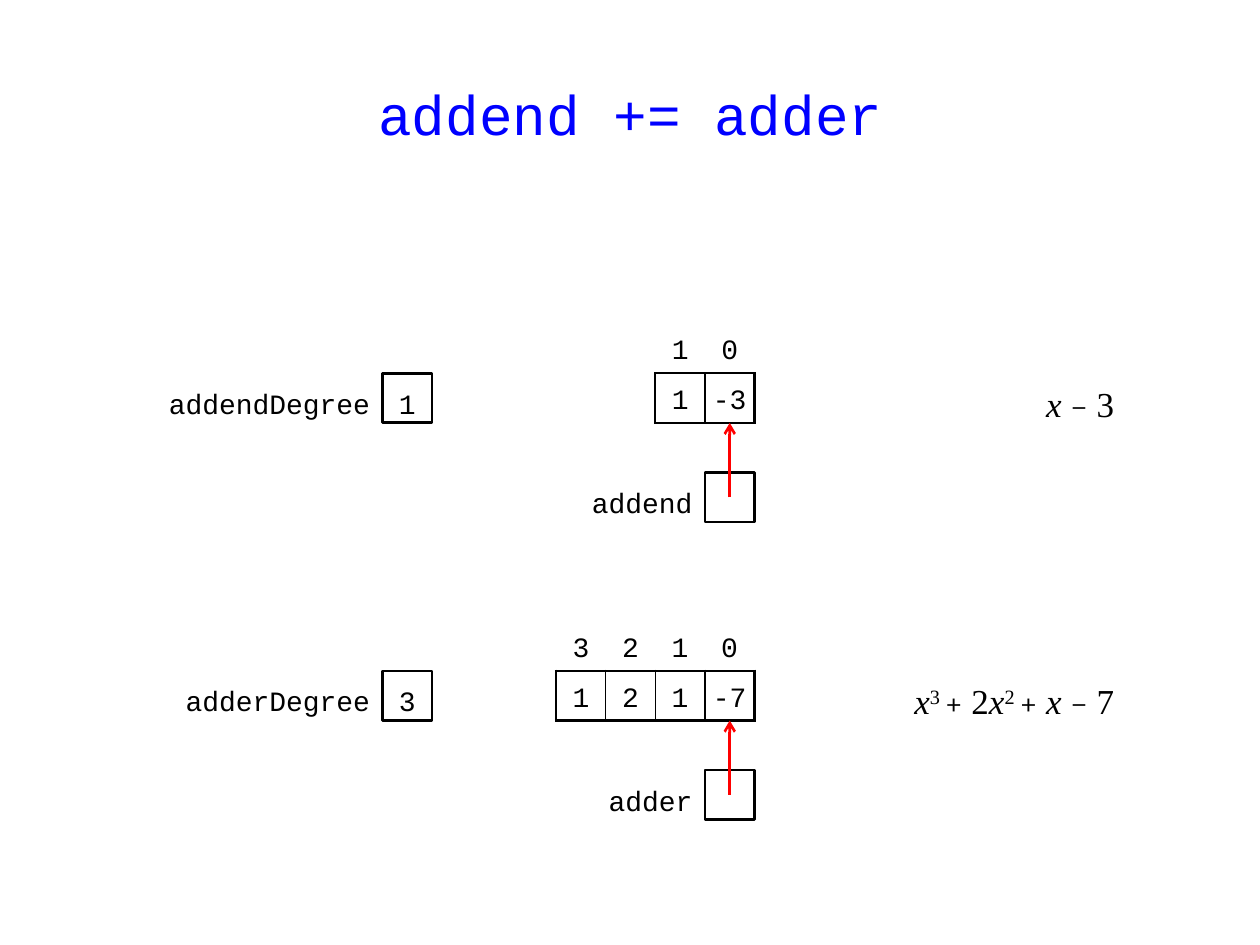
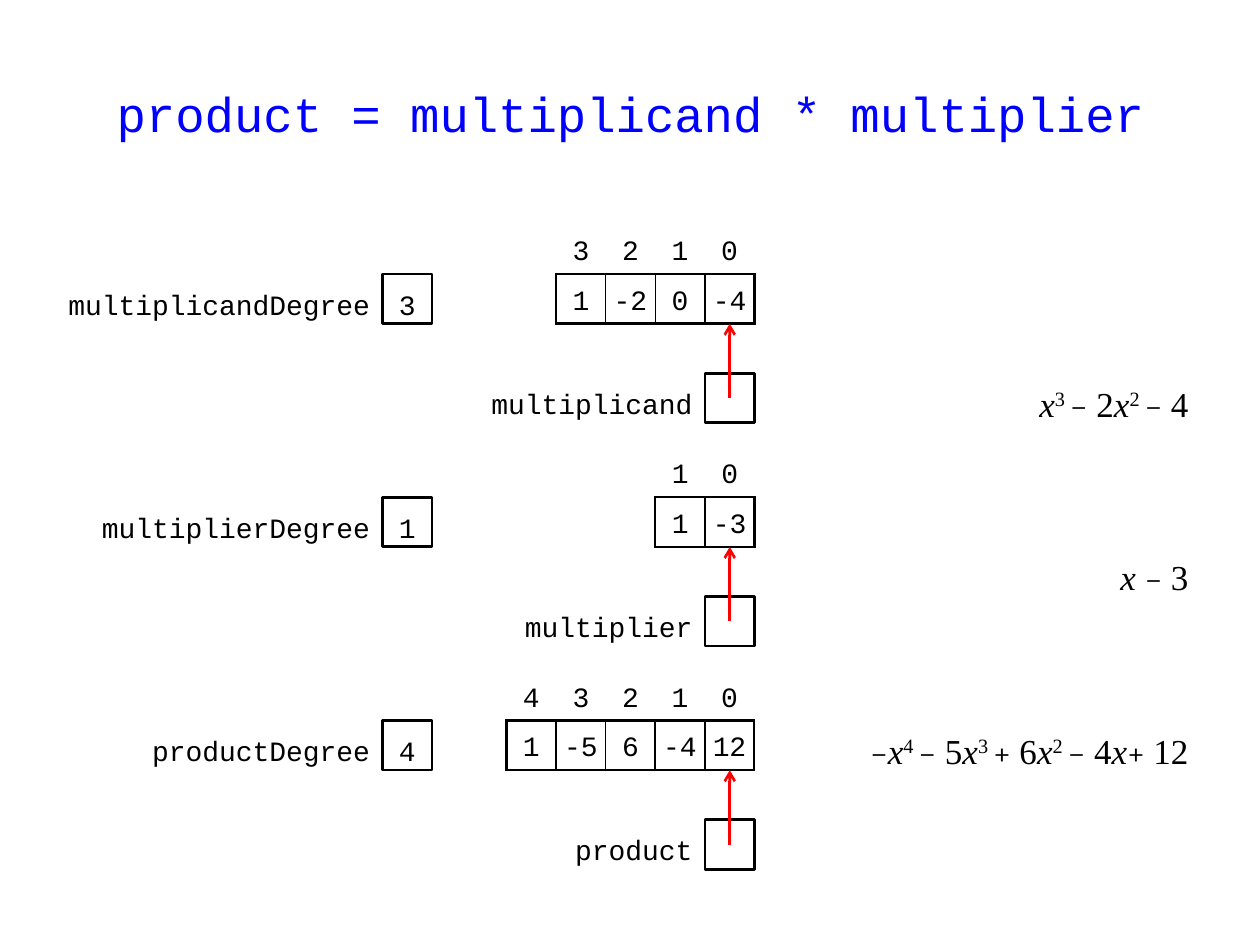
import math
from itertools import groupby
from lxml import etree
from pptx import Presentation
from pptx import util as u
from pptx.dml import color
from pptx.enum import shapes, text
from pptx.oxml import ns

SLIDES = [
    {
        "title": "addend += adder",
        "title_size": "title",
        "formula_right": 22,
        "polynomials": [
            {"name": "addend", "coefficients": [1, -3], "row": 7.5,
             "formula": "x − 3", "formula_row": 7.5, "formula_cells": 2.5},
            {"name": "adder", "coefficients": [1, 2, 1, -7], "row": 13.5,
             "formula": "x^3 + 2x^2 + x − 7", "formula_row": 13.5, "formula_cells": 5.5},
        ],
    },
    {
        "title": "product = multiplicand * multiplier",
        "title_size": "long_title",
        "formula_right": 23.5,
        "polynomials": [
            {"name": "multiplicand", "coefficients": [1, -2, 0, -4], "row": 5.5,
             "formula": "x^3 − 2x^2 − 4", "formula_row": 7.5, "formula_cells": 4},
            {"name": "multiplier", "coefficients": [1, -3], "row": 10,
             "formula": "x − 3", "formula_row": 11, "formula_cells": 2.5},
            {"name": "product", "coefficients": [1, -5, 6, -4, 12], "row": 14.5,
             "formula": "−x^4 − 5x^3 + 6x^2 − 4x+ 12", "formula_row": 14.5,
             "formula_cells": 8},
        ],
    },
]

THEME = {
    "colors": {"ink": "000000", "title": "0000FF", "arrow": "FF0000", "box": "FFFFFF"},
    "sizes": {"title": 32, "long_title": 28, "code": 16, "formula": 20, "operator": 18},
    "fonts": {"code": "Courier New", "formula": "Times New Roman", "operator": "Cambria"},
    "lines": {"outer": 1.5, "inner": 1},
}

CELL = 1 / 2.54
ORIGIN_X, ORIGIN_Y = 0.28, 0.01
DEGREE_COLUMN = 7
POINTER_COLUMN = 13.5
CODE_CHARACTER = 0.6 * THEME["sizes"]["code"] / 72
INSET = 0.1
POINTER_INSET = 0.04
TEXT_DROP = 0.08


def across(column):
    return u.Inches(ORIGIN_X + column * CELL)


def down(row):
    return u.Inches(ORIGIN_Y + row * CELL)


def cells(count):
    return u.Inches(count * CELL)


def place(column, row, width, height=1):
    return across(column), down(row), cells(width), cells(height)


def rgb(name):
    return color.RGBColor.from_string(THEME["colors"][name])


def set_all(target, values):
    for name, value in values.items():
        setattr(target, name, value)


def add_run(paragraph, words, font="code", size=None, ink="ink", **extra):
    run = paragraph.add_run()
    run.text = words
    set_all(run.font, {"name": THEME["fonts"][font],
                       "size": u.Pt(THEME["sizes"][size or font]), "bold": False, **extra})
    run.font.color.rgb = rgb(ink)
    return run


def prepare_text(shape, align, left=INSET, right=INSET, top=TEXT_DROP):
    frame = shape.text_frame
    set_all(frame, {"word_wrap": True, "auto_size": text.MSO_AUTO_SIZE.NONE,
                    "vertical_anchor": text.MSO_ANCHOR.MIDDLE,
                    "margin_left": u.Inches(left), "margin_right": u.Inches(right),
                    "margin_top": u.Inches(top), "margin_bottom": 0})
    paragraph = frame.paragraphs[0]
    paragraph.alignment = align
    return paragraph


def add_title(slide, words, size):
    title = slide.shapes.title
    left, top, width, height = place(0.5, 1, 23, 2.5)
    set_all(title, {"left": left, "top": top, "width": width, "height": height})
    paragraph = prepare_text(title, text.PP_ALIGN.CENTER, top=0)
    add_run(paragraph, words, size=size, ink="title")


def add_label(slide, words, right_column, row, left_inset=INSET):
    needed = len(words) * CODE_CHARACTER + left_inset + INSET
    width = math.ceil(2 * needed / CELL) / 2
    label = slide.shapes.add_textbox(*place(right_column - width, row, width))
    add_run(prepare_text(label, text.PP_ALIGN.RIGHT, left_inset), words)


def add_box(slide, column, row, words=""):
    box = slide.shapes.add_shape(shapes.MSO_SHAPE.RECTANGLE, *place(column, row, 1))
    box.shadow.inherit = False
    box.fill.solid()
    box.fill.fore_color.rgb = rgb("box")
    box.line.color.rgb = rgb("ink")
    box.line.width = u.Pt(THEME["lines"]["outer"])
    if words:
        add_run(prepare_text(box, text.PP_ALIGN.CENTER, 0, 0), words)


def set_borders(cell, borders):
    properties = cell._tc.get_or_add_tcPr()
    for position, (side, kind) in enumerate(borders.items()):
        line = etree.Element(ns.qn(f"a:ln{side}"))
        if kind:
            line.set("w", str(u.Pt(THEME["lines"][kind])))
            fill = etree.SubElement(line, ns.qn("a:solidFill"))
            etree.SubElement(fill, ns.qn("a:srgbClr"), val=THEME["colors"]["ink"])
        else:
            etree.SubElement(line, ns.qn("a:noFill"))
        properties.insert(position, line)


def add_array(slide, coefficients, row):
    count = len(coefficients)
    frame = slide.shapes.add_table(
        2, count, *place(POINTER_COLUMN + 1 - count, row - 1, count, 2))
    table = frame.table
    set_all(table, {"first_row": False, "horz_banding": False})
    for line in [*table.rows]:
        line.height = cells(1)
    for column in table.columns:
        column.width = cells(1)
    contents = [range(count - 1, -1, -1), coefficients]
    for row_index, values in enumerate(contents):
        for column_index, value in enumerate(values):
            cell = table.cell(row_index, column_index)
            set_all(cell, {"margin_left": 0, "margin_right": 0, "margin_top": 0,
                           "margin_bottom": 0, "vertical_anchor": text.MSO_ANCHOR.MIDDLE})
            cell.fill.background()
            paragraph = cell.text_frame.paragraphs[0]
            set_all(paragraph, {"alignment": text.PP_ALIGN.CENTER, "line_spacing": 1.25})
            add_run(paragraph, str(value))
            if row_index == 0:
                borders = {"L": None, "R": None, "T": None, "B": "outer"}
            else:
                borders = {"L": "inner" if column_index else "outer",
                           "R": "inner" if column_index < count - 1 else "outer",
                           "T": "outer", "B": "outer"}
            set_borders(cell, borders)


def add_arrow(slide, row):
    middle = across(POINTER_COLUMN + 0.5)
    arrow = slide.shapes.add_connector(
        shapes.MSO_CONNECTOR.STRAIGHT, middle, down(row + 2.5), middle, down(row + 1))
    arrow.line.color.rgb = rgb("arrow")
    arrow.line.width = u.Pt(THEME["lines"]["outer"])
    etree.SubElement(arrow.line._get_or_add_ln(), ns.qn("a:tailEnd"), type="arrow")
    etree.SubElement(arrow._element.spPr, ns.qn("a:effectLst"))


def formula_parts(formula):
    style, parts = "number", []
    for character in formula:
        if character == "^":
            style = "power"
            continue
        if character == "x":
            style = "variable"
        elif character in "+−":
            style = "operator"
        elif style != "power" and (character.isdigit() or style == "operator"):
            style = "number"
        parts.append((style, character))
    for style, group in groupby(parts, key=lambda part: part[0]):
        yield style, "".join(character for _, character in group)


def add_formula(slide, formula, right_column, row, width):
    box = slide.shapes.add_textbox(*place(right_column - width, row, width))
    paragraph = prepare_text(box, text.PP_ALIGN.RIGHT)
    for style, words in formula_parts(formula):
        font = "operator" if style == "operator" else "formula"
        run = add_run(paragraph, words, font, italic=style == "variable")
        if style == "power":
            run.font._element.set("baseline", "30000")


def add_polynomial(slide, polynomial, formula_right):
    name, row = polynomial["name"], polynomial["row"]
    coefficients = polynomial["coefficients"]
    add_array(slide, coefficients, row)
    add_label(slide, f"{name}Degree", DEGREE_COLUMN, row)
    add_box(slide, DEGREE_COLUMN, row, str(len(coefficients) - 1))
    add_label(slide, name, POINTER_COLUMN, row + 2, POINTER_INSET)
    add_box(slide, POINTER_COLUMN, row + 2)
    add_arrow(slide, row)
    add_formula(slide, polynomial["formula"], formula_right,
                polynomial["formula_row"], polynomial["formula_cells"])


def main():
    presentation = Presentation()
    set_all(presentation, {"slide_width": u.Inches(10), "slide_height": u.Inches(7.5)})
    for content in SLIDES:
        slide = presentation.slides.add_slide(presentation.slide_layouts[5])
        add_title(slide, content["title"], content["title_size"])
        for polynomial in content["polynomials"]:
            add_polynomial(slide, polynomial, content["formula_right"])
    presentation.save("out.pptx")


if __name__ == "__main__":
    main()
